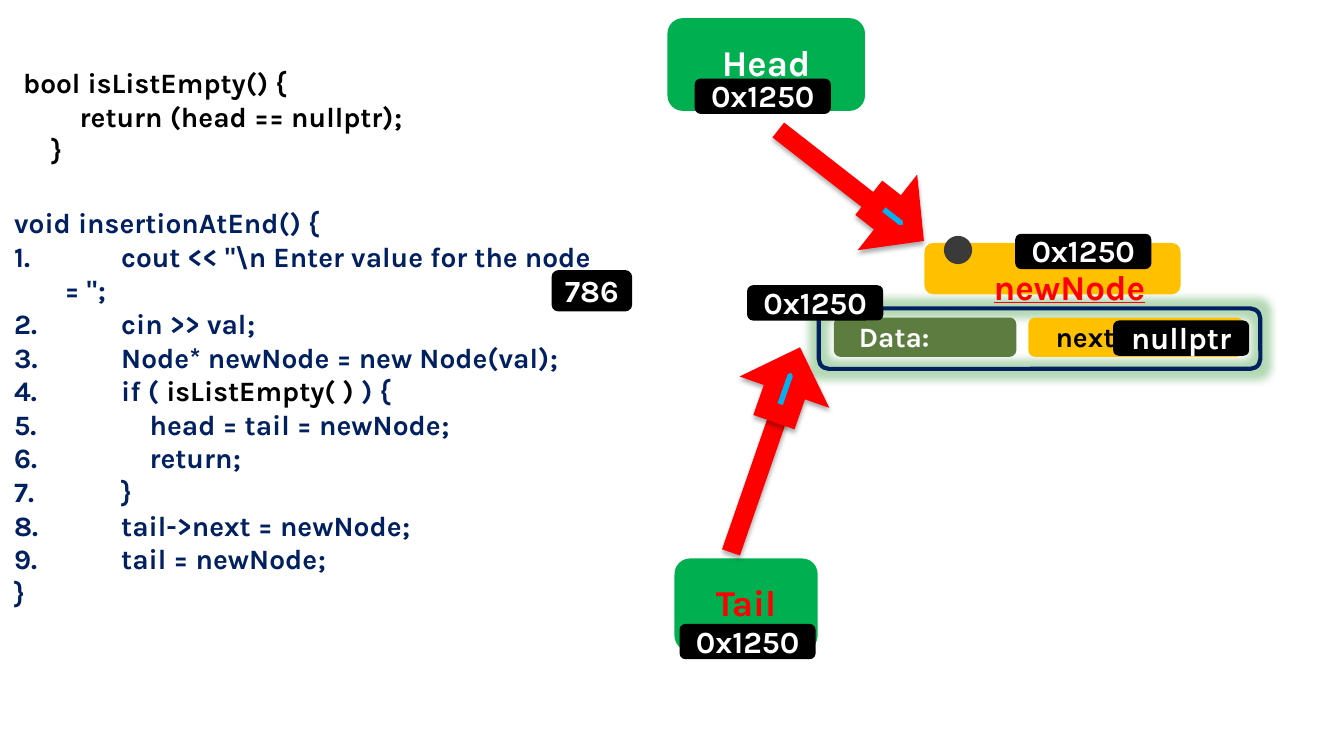
import pptx
import pptx.dml.color
import pptx.enum.shapes
import pptx.enum.text
import pptx.oxml
import pptx.oxml.ns
import pptx.util

SLIDE_W, SLIDE_H = 13.33, 7.5
FONT = "Karla"
NAVY, BLACK, WHITE, RED = "002060", "000000", "FFFFFF", "FF0000"
GREEN, AMBER, OLIVE, SKY, GREY = "00B050", "FFC000", "5D7D40", "00B0F0", "3A3A3A"

# All places are left, top, width, height in percent of the slide.
INSERT_PLACE = (0.3, 26.53, 45.39, 50.67)
INSERT_CODE = [  # numbered?, then (text, colour) pieces
    (False, [("void insertionAtEnd() {", NAVY)]),
    (True, [('        cout << "\\n Enter value for the node = ";', NAVY)]),
    (True, [("        cin >> val;", NAVY)]),
    (True, [("        Node* newNode = new Node(val);", NAVY)]),
    (True, [("        if ( ", NAVY), ("isListEmpty( ) ", BLACK), (") {", NAVY)]),
    (True, [("            head = tail = newNode;", NAVY)]),
    (True, [("            return;", NAVY)]),
    (True, [("        }", NAVY)]),
    (True, [("        tail->next = newNode;", NAVY)]),
    (True, [("        tail = newNode;", NAVY)]),
    (False, [("}", NAVY)]),
]
EMPTY_PLACE = (0.98, 8, 43.51, 14.8)
EMPTY_CODE = [
    (False, [("bool isListEmpty() {", BLACK)]),
    (False, [("        return (head == nullptr);", BLACK)]),
    (False, [("    }", BLACK)]),
]

# text, place, fill, text colour, size, alignment, (left, top) inset in inches
BOXES = [
    ("Head", (49.66, 2.4, 14.7, 12.27), GREEN, WHITE, 26, "CENTER", (0, 0)),
    ("Tail", (50.19, 73.87, 10.65, 12.27), GREEN, RED, 26, "CENTER", (0, 0)),
    ("newNode", (68.79, 32.13, 19.05, 6.8), AMBER, RED, 25, "LEFT", (0.66, 0.4)),
    ("Data:", (62.04, 42, 13.58, 5.2), OLIVE, WHITE, 20, "LEFT", (0.23, 0.03)),
    ("next:", (76.52, 42, 15.98, 5.2), AMBER, BLACK, 20, "LEFT", (0.25, 0.03)),
]
NODE_DOT = (70.23, 31.2, 2.1, 3.73)
NODE_FRAME = (60.92, 40.8, 32.86, 8)

VALUE_SIZE = (10.13, 4.67)
VALUES = [
    ("0x1250", (55.59, 37.73), VALUE_SIZE),
    ("0x1250", (75.54, 30.93), VALUE_SIZE),
    ("nullptr", (82.82, 42.4), VALUE_SIZE),
    ("786", (41.04, 35.73), (6, 5.47)),
    ("0x1250", (51.69, 10.4), VALUE_SIZE),
    ("0x1250", (50.56, 82.53), VALUE_SIZE),
]

# shaft ends, place of the arrowhead, its rotation
POINTERS = [
    ((66.77, 29.47, 57.91, 17.2), (64.82, 25.6, 3.53, 6.53), 38.1),
    ((58.81, 50.4, 54.39, 73.07), (56.41, 47.87, 4.2, 6.53), 289.2),
]

NS = pptx.oxml.ns.nsdecls("a")
SHADOW = (f'<a:outerShdw {NS} blurRad="44450" dist="27940" dir="5400000" rotWithShape="0">'
          '<a:srgbClr val="000000"><a:alpha val="32000"/></a:srgbClr></a:outerShdw>')
GLOW = (f'<a:glow {NS} rad="139700"><a:srgbClr val="43A047">'
        '<a:alpha val="40000"/></a:srgbClr></a:glow>')
SHAPE = pptx.enum.shapes.MSO_SHAPE


def rgb(hex_colour):
    return pptx.dml.color.RGBColor.from_string(hex_colour)


def to_emu(place):
    """Turn x, y, x, y shares of the slide into lengths."""
    return [pptx.util.Inches(share * side / 100)
            for share, side in zip(place, (SLIDE_W, SLIDE_H) * 2)]


def set_all(target, values):
    for key, value in values.items():
        setattr(target, key, value)


def add_run(paragraph, text, colour, size, underline=None):
    run = paragraph.add_run()
    run.text = text
    set_all(run.font, {"name": FONT, "size": pptx.util.Pt(size), "bold": True,
                       "underline": underline})
    run.font.color.rgb = rgb(colour)


def write_code(frame, lines):
    set_all(frame, {"word_wrap": True,
                    "vertical_anchor": pptx.enum.text.MSO_ANCHOR.TOP,
                    "auto_size": pptx.enum.text.MSO_AUTO_SIZE.SHAPE_TO_FIT_TEXT})
    for index, (numbered, pieces) in enumerate(lines):
        line = frame.add_paragraph() if index else frame.paragraphs[0]
        indent = pptx.util.Inches(0.5) if numbered else 0
        marker = 'buAutoNum type="arabicPeriod"' if numbered else "buNone"
        properties = line._p.get_or_add_pPr()
        properties.set("marL", str(indent))
        properties.set("indent", str(-indent))
        properties.append(pptx.oxml.parse_xml(f"<a:{marker} {NS}/>"))
        set_all(line, {"space_before": pptx.util.Pt(0),
                       "alignment": pptx.enum.text.PP_ALIGN.LEFT})
        for text, colour in pieces:
            add_run(line, text, colour, 20)


def add_effect(shape, effect):
    properties = shape._element.spPr
    effects = properties.find(pptx.oxml.ns.qn("a:effectLst"))
    if effects is None:
        effects = pptx.oxml.parse_xml(f"<a:effectLst {NS}/>")
        properties.append(effects)
    effects.append(pptx.oxml.parse_xml(effect))


def set_line(shape, colour, width):
    shape.line.color.rgb = rgb(colour)
    shape.line.width = pptx.util.Pt(width)


def add_shape(slide, kind, place, fill=None):
    shape = slide.shapes.add_shape(kind, *to_emu(place))
    shape.shadow.inherit = False
    shape.line.fill.background()
    if fill:
        shape.fill.solid()
        shape.fill.fore_color.rgb = rgb(fill)
    else:
        shape.fill.background()
    return shape


def add_box(slide, text, place, fill, colour, size, alignment, inset):
    frame = add_shape(slide, SHAPE.ROUNDED_RECTANGLE, place, fill).text_frame
    left, top = (pptx.util.Inches(length) for length in inset)
    set_all(frame, {"margin_left": left, "margin_top": top, "margin_right": 0,
                    "margin_bottom": 0, "word_wrap": True,
                    "vertical_anchor": pptx.enum.text.MSO_ANCHOR.MIDDLE})
    label = frame.paragraphs[0]
    set_all(label, {"alignment": pptx.enum.text.PP_ALIGN[alignment], "line_spacing": 0.9})
    add_run(label, text, colour, size, underline=True if text == "newNode" else None)


def add_pointer(slide, ends, head_place, rotation):
    shaft = slide.shapes.add_connector(
        pptx.enum.shapes.MSO_CONNECTOR.STRAIGHT, *to_emu(ends))
    head = add_shape(slide, SHAPE.RIGHT_ARROW, head_place, SKY)
    head.rotation = rotation
    for part in (shaft, head):
        set_line(part, RED, 13.5)
        part.line._get_or_add_ln().append(
            pptx.oxml.parse_xml(f'<a:miter {NS} lim="800000"/>'))
        add_effect(part, SHADOW)


def main():
    deck = pptx.Presentation()
    deck.slide_width, deck.slide_height = to_emu((100, 100))
    slide = deck.slides.add_slide(deck.slide_layouts[1])
    title, insert_code = slide.placeholders
    title._element.getparent().remove(title._element)

    for key, value in zip(("left", "top", "width", "height"), to_emu(INSERT_PLACE)):
        setattr(insert_code, key, value)
    write_code(insert_code.text_frame, INSERT_CODE)
    write_code(slide.shapes.add_textbox(*to_emu(EMPTY_PLACE)).text_frame, EMPTY_CODE)

    node_frame = add_shape(slide, SHAPE.ROUNDED_RECTANGLE, NODE_FRAME)
    set_line(node_frame, NAVY, 3)
    add_effect(node_frame, GLOW)
    for box in BOXES:
        add_box(slide, *box)
    add_shape(slide, SHAPE.OVAL, NODE_DOT, GREY)
    for text, corner, size in VALUES:
        add_box(slide, text, corner + size, BLACK, WHITE, 22, "CENTER", (0, 0.03))
    for pointer in POINTERS:
        add_pointer(slide, *pointer)
    deck.save("out.pptx")


if __name__ == "__main__":
    main()
